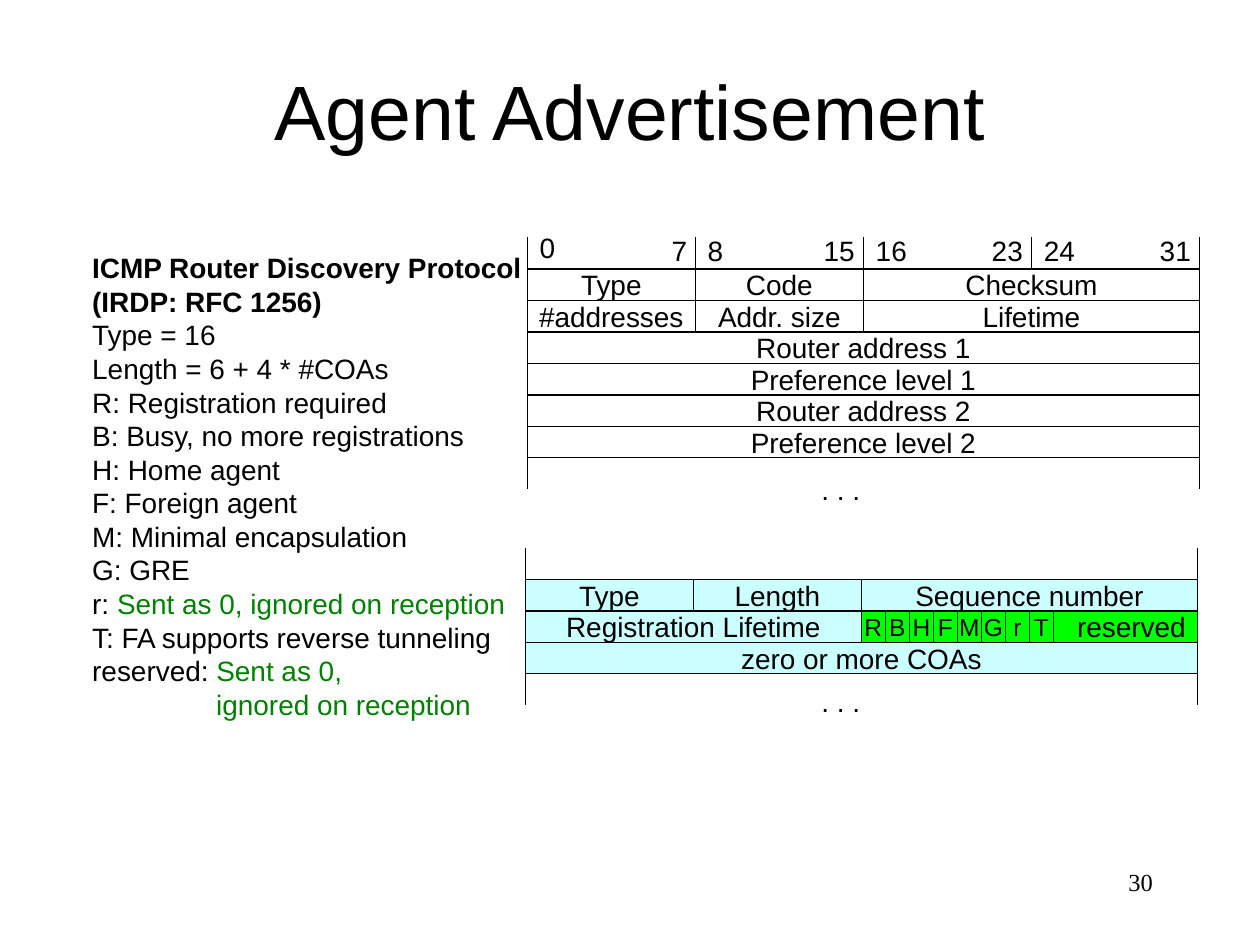
from dataclasses import dataclass
from lxml.etree import SubElement
from pptx import Presentation
from pptx.dml.color import RGBColor
from pptx.enum.shapes import MSO_CONNECTOR as Wire, MSO_SHAPE as Form
from pptx.enum.text import MSO_ANCHOR as Anchor, PP_ALIGN as Align
from pptx.oxml.ns import qn
from pptx.shapes.autoshape import Shape
from pptx.shapes.connector import Connector
from pptx.util import Cm, Pt

BLACK, WHITE, CYAN, LIME, GREEN = "000000", "FFFFFF", "CCFFFF", "00FF00", "008000"
ROW = 0.635
BIT = 13.55 / 32
FLAG = 8 / 7


@dataclass
class Cell:
    """A field of a packet, placed by row and bit."""
    text: str
    row: int
    start: float
    span: float
    fill: str = WHITE
    size: int = 16
    shift: float = 0


@dataclass
class Grid:
    """The origin of a packet and the shapes it is drawn in."""
    shapes: object
    left: float
    top: float

    def x(self, bit: float) -> float:
        """Return the place of a bit."""
        return self.left + bit * BIT

    def y(self, row: float) -> float:
        """Return the top of a row."""
        return self.top + row * ROW


@dataclass
class Note:
    """A line of the legend with an optional green part."""
    text: str
    green: str = ""
    bold: bool = False
    indent: float = 0


def paint(part, colour: str) -> None:
    """Set a fill or a font to a hex colour."""
    if hasattr(part, "solid"):
        part.solid()
        part.fore_color.rgb = RGBColor.from_string(colour)
    else:
        part.color.rgb = RGBColor.from_string(colour)


def style(para, size: float, face: str = "Arial", bold: bool = False) -> None:
    """Set the font and the line pitch of a paragraph."""
    para.font.name, para.font.size, para.font.bold = face, Pt(size), bold
    para.line_spacing = Pt(size * 1.2)
    paint(para.font, BLACK)


def label(shapes, text: str, x: float, y: float, w: float, h: float = 0.94,
          size: int = 16, align=Align.LEFT, face: str = "Arial",
          wrap: bool = False) -> Shape:
    """Add a line of plain text."""
    box = shapes.add_textbox(Cm(x), Cm(y), Cm(w), Cm(h))
    box.text_frame.word_wrap = wrap
    para = box.text_frame.paragraphs[0]
    para.text, para.alignment = text, align
    style(para, size, face)
    return box


def field(grid: Grid, cell: Cell) -> Shape:
    """Draw one packet field."""
    box = grid.shapes.add_shape(
        Form.RECTANGLE, Cm(grid.x(cell.start)), Cm(grid.y(cell.row)),
        Cm(cell.span * BIT), Cm(ROW))
    box.shadow.inherit = False
    paint(box.fill, cell.fill)
    paint(box.line.fill, BLACK)
    box.line.width = Pt(0.75)
    frame = box.text_frame
    frame.word_wrap, frame.vertical_anchor = False, Anchor.MIDDLE
    frame.margin_left = Cm(0.25 + cell.shift)
    para = frame.paragraphs[0]
    para.text, para.alignment = cell.text, Align.CENTER
    style(para, cell.size)
    return box


def tick(grid: Grid, bit: float, start: float, end: float) -> Connector:
    """Draw an upright line between two rows."""
    x = Cm(grid.x(bit))
    line = grid.shapes.add_connector(
        Wire.STRAIGHT, x, Cm(grid.y(start)), x, Cm(grid.y(end)))
    paint(line.line.fill, BLACK)
    line.line.width = Pt(0.75)
    SubElement(line._element.spPr, qn("a:effectLst"))
    return line


def legend(shapes, notes: list[Note]) -> None:
    """Write the legend beside the packets."""
    box = shapes.add_textbox(Cm(1.61), Cm(4.93), Cm(9.17), Cm(10.41))
    frame = box.text_frame
    frame.word_wrap = False
    for i, note in enumerate(notes):
        para = frame.add_paragraph() if i else frame.paragraphs[0]
        if note.indent:
            para._p.get_or_add_pPr().set("marL", str(Cm(note.indent)))
        style(para, 16, bold=note.bold)
        if note.text:
            para.add_run().text = note.text
        if note.green:
            run = para.add_run()
            run.text = note.green
            paint(run.font, GREEN)


def scale(grid: Grid) -> None:
    """Number the first and last bit of each byte."""
    for bit in range(0, 32, 8):
        first, last = str(bit), str(bit + 7)
        wide, end = (0.54 + 0.32 * len(text) for text in (first, last))
        label(grid.shapes, first, grid.x(bit), 4.58 if bit else 4.52, wide)
        label(grid.shapes, last, grid.x(bit + 8) + 0.13 - end, 4.58, end)


def router(shapes) -> None:
    """Draw the router advertisement with its bit scale."""
    grid = Grid(shapes, 10.63, 5.42)
    cells = [
        Cell("Type", 0, 0, 8), Cell("Code", 0, 8, 8), Cell("Checksum", 0, 16, 16),
        Cell("#addresses", 1, 0, 8), Cell("Addr. size", 1, 8, 8),
        Cell("Lifetime", 1, 16, 16),
    ]
    rows = ["Router address 1", "Preference level 1",
            "Router address 2", "Preference level 2"]
    cells += [Cell(text, row, 0, 32) for row, text in enumerate(rows, 2)]
    boxes = {cell.text: field(grid, cell) for cell in cells}
    for bit in range(0, 33, 8):
        line = tick(grid, bit, 0, -1)
        if bit == 24:
            line.begin_connect(boxes["Checksum"], 0)
    for bit in (0, 32):
        tick(grid, bit, 6, 7)
    scale(grid)
    label(shapes, ". . .", 16.31, 9.4, 1.45)


def agent(shapes) -> None:
    """Draw the mobility agent extension."""
    grid = Grid(shapes, 10.59, 11.68)
    cells = [
        Cell("Type", 0, 0, 8, CYAN), Cell("Length", 0, 8, 8, CYAN),
        Cell("Sequence number", 0, 16, 16, CYAN),
        Cell("Registration Lifetime", 1, 0, 16, CYAN),
        Cell("zero or more COAs", 2, 0, 32, CYAN),
        Cell("reserved", 1, 25, 7, LIME, shift=0.3),
    ]
    cells += [Cell(flag, 1, 16 + i * FLAG, FLAG, LIME, 14)
              for i, flag in enumerate("RBHFMGrT")]
    for cell in cells:
        field(grid, cell)
    for bit in (0, 32):
        tick(grid, bit, -1, 0)
        tick(grid, bit, 3, 4)
    label(shapes, ". . .", 16.31, 13.67, 1.45)


def main() -> None:
    """Build the slide and save it."""
    deck = Presentation()
    deck.slide_width, deck.slide_height = Cm(25.4), Cm(19.05)
    shapes = deck.slides.add_slide(deck.slide_layouts[6]).shapes
    label(shapes, "30", 18.2, 17.36, 5.29, 1.27, 14, Align.RIGHT,
          "Times New Roman", True)
    title = label(shapes, "Agent Advertisement", 1.9, 0.62, 21.6, 3.18, 44,
                  Align.CENTER, wrap=True)
    title.text_frame.vertical_anchor = Anchor.MIDDLE
    legend(shapes, [
        Note("ICMP Router Discovery Protocol", bold=True),
        Note("(IRDP: RFC 1256)", bold=True),
        Note("Type = 16"), Note("Length = 6 + 4 * #COAs"),
        Note("R: Registration required"), Note("B: Busy, no more registrations"),
        Note("H: Home agent"), Note("F: Foreign agent"),
        Note("M: Minimal encapsulation"), Note("G: GRE"),
        Note("r: ", "Sent as 0, ignored on reception"),
        Note("T: FA supports reverse tunneling"),
        Note("reserved: ", "Sent as 0,"),
        Note("", "ignored on reception", indent=2.5),
    ])
    router(shapes)
    agent(shapes.add_group_shape().shapes)
    deck.save("out.pptx")


if __name__ == "__main__":
    main()
